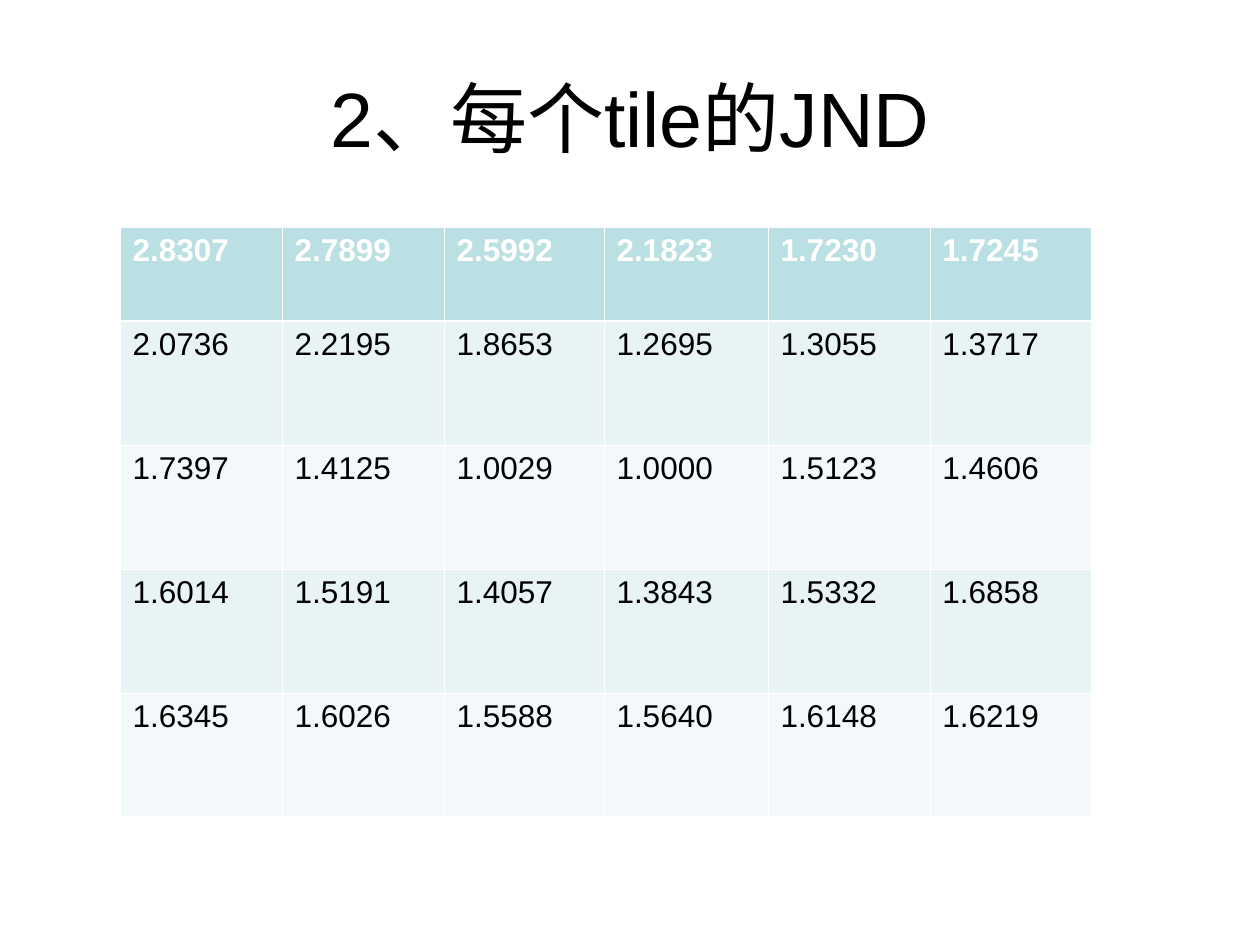
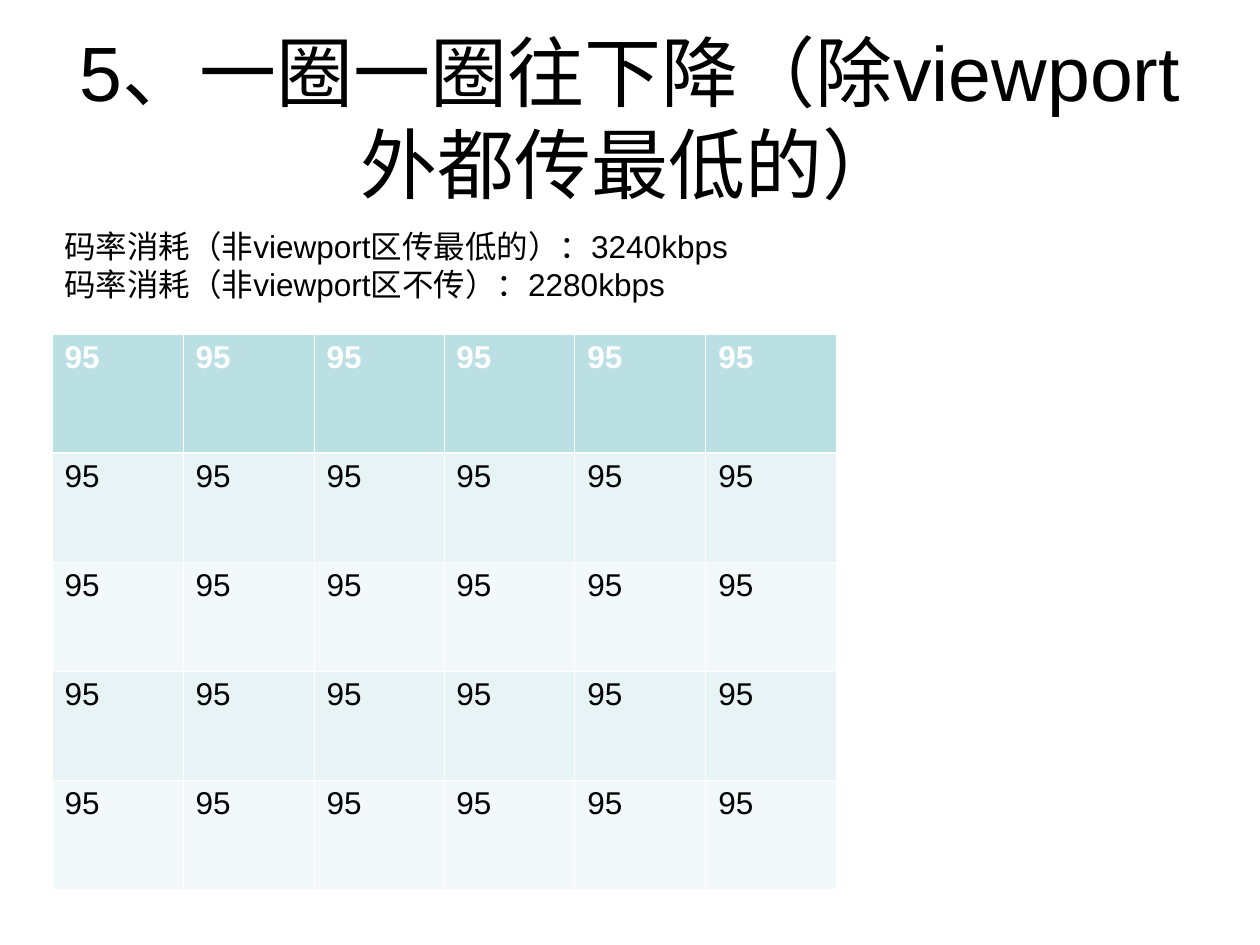
from dataclasses import dataclass

from lxml import etree
from pptx import Presentation
from pptx import util as u
from pptx.dml.color import RGBColor
from pptx.enum import text as t
from pptx.oxml.ns import qn

PX_PER_INCH = 126
COLORS = {
    "ink": "000000",
    "paper": "FFFFFF",
    "header": "BBE0E3",
    "odd_row": "E7F3F4",
    "even_row": "F3F9FA",
}
FONT = "Arial"
TITLE_BOX = (63, 38, 1134, 158)
THIN, THICK = 0.45, 1.47


@dataclass(frozen=True)
class TileGrid:
    left: int
    top: int
    columns: tuple[int, ...]
    header_height: int
    row_height: int
    values: list[list[str]]


@dataclass(frozen=True)
class Page:
    title: str
    grid: TileGrid
    bitrates: tuple[str, ...] = ()


PAGES = (
    Page(
        "2、每个tile的JND",
        TileGrid(120, 227, (162, 162, 160, 164, 162, 162), 94, 124, [
            line.split() for line in (
                "2.8307 2.7899 2.5992 2.1823 1.7230 1.7245",
                "2.0736 2.2195 1.8653 1.2695 1.3055 1.3717",
                "1.7397 1.4125 1.0029 1.0000 1.5123 1.4606",
                "1.6014 1.5191 1.4057 1.3843 1.5332 1.6858",
                "1.6345 1.6026 1.5588 1.5640 1.6148 1.6219",
            )
        ]),
    ),
    Page(
        "5、一圈一圈往下降（除viewport外都传最低的）",
        TileGrid(52, 334, (131, 131, 130, 131, 131, 131), 119, 109, [["95"] * 6] * 5),
        (
            "码率消耗（非viewport区传最低的）：3240kbps",
            "码率消耗（非viewport区不传）：2280kbps",
        ),
    ),
)


def px(length: int) -> u.Emu:
    return u.Emu(round(length * 914400 / PX_PER_INCH))


def write(frame, *lines: str, size: int = 18, color: str = "ink",
          bold: bool = False, align=t.PP_ALIGN.LEFT) -> None:
    for index, line in enumerate(lines):
        paragraph = frame.add_paragraph() if index else frame.paragraphs[0]
        paragraph.alignment = align
        run = paragraph.add_run()
        run.text = line
        run.font.name = FONT
        run.font.size = u.Pt(size)
        run.font.bold = bold
        run.font.color.rgb = RGBColor.from_string(COLORS[color])


def add_title(slide, title: str) -> None:
    heading = slide.shapes.title
    heading.left, heading.top, heading.width, heading.height = map(px, TITLE_BOX)
    frame = heading.text_frame
    frame.word_wrap = True
    frame.auto_size = t.MSO_AUTO_SIZE.NONE
    frame.vertical_anchor = t.MSO_ANCHOR.MIDDLE
    write(frame, title, size=44, align=t.PP_ALIGN.CENTER)


def add_bitrates(slide, bitrates: tuple[str, ...]) -> None:
    note = slide.shapes.add_textbox(*map(px, (52, 221, 911, 88)))
    frame = note.text_frame
    frame.word_wrap = True
    frame.auto_size = t.MSO_AUTO_SIZE.SHAPE_TO_FIT_TEXT
    write(frame, *bitrates)


def outline(cell, row: int) -> None:
    properties = cell._tc.get_or_add_tcPr()
    widths = {
        "lnL": THIN,
        "lnR": THIN,
        "lnT": THICK if row == 1 else THIN,
        "lnB": THICK if row == 0 else THIN,
    }
    for side, width in widths.items():
        line = etree.SubElement(properties, qn(f"a:{side}"), w=str(u.Pt(width)))
        fill = etree.SubElement(line, qn("a:solidFill"))
        etree.SubElement(fill, qn("a:srgbClr"), val=COLORS["paper"])


def row_fill(row: int) -> str:
    if row == 0:
        return "header"
    return "odd_row" if row % 2 else "even_row"


def add_grid(slide, grid: TileGrid) -> None:
    heights = [grid.header_height] + [grid.row_height] * (len(grid.values) - 1)
    table = slide.shapes.add_table(
        len(heights), len(grid.columns), px(grid.left), px(grid.top),
        px(sum(grid.columns)), px(sum(heights))).table
    for column, width in zip(table.columns, grid.columns):
        column.width = px(width)
    for row, (height, values) in enumerate(zip(heights, grid.values)):
        table.rows[row].height = px(height)
        for column, value in enumerate(values):
            cell = table.cell(row, column)
            outline(cell, row)
            cell.fill.solid()
            cell.fill.fore_color.rgb = RGBColor.from_string(COLORS[row_fill(row)])
            write(cell.text_frame, value, bold=row == 0,
                  color="ink" if row else "paper")


def main() -> None:
    deck = Presentation()
    deck.slide_width, deck.slide_height = px(1260), px(945)
    title_only = deck.slide_layouts[5]
    for page in PAGES:
        slide = deck.slides.add_slide(title_only)
        add_title(slide, page.title)
        if page.bitrates:
            add_bitrates(slide, page.bitrates)
        add_grid(slide, page.grid)
    deck.save("out.pptx")


if __name__ == "__main__":
    main()
